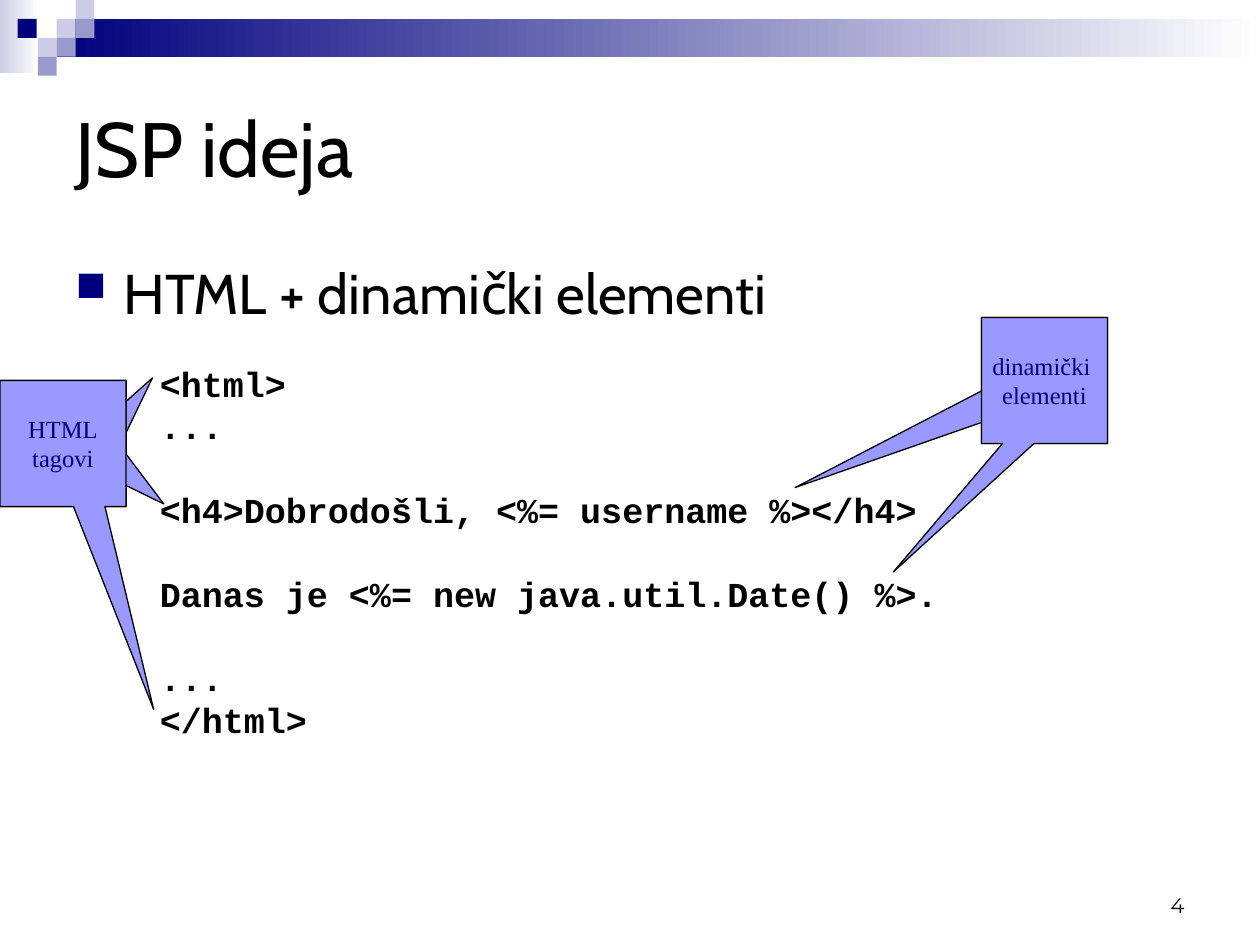
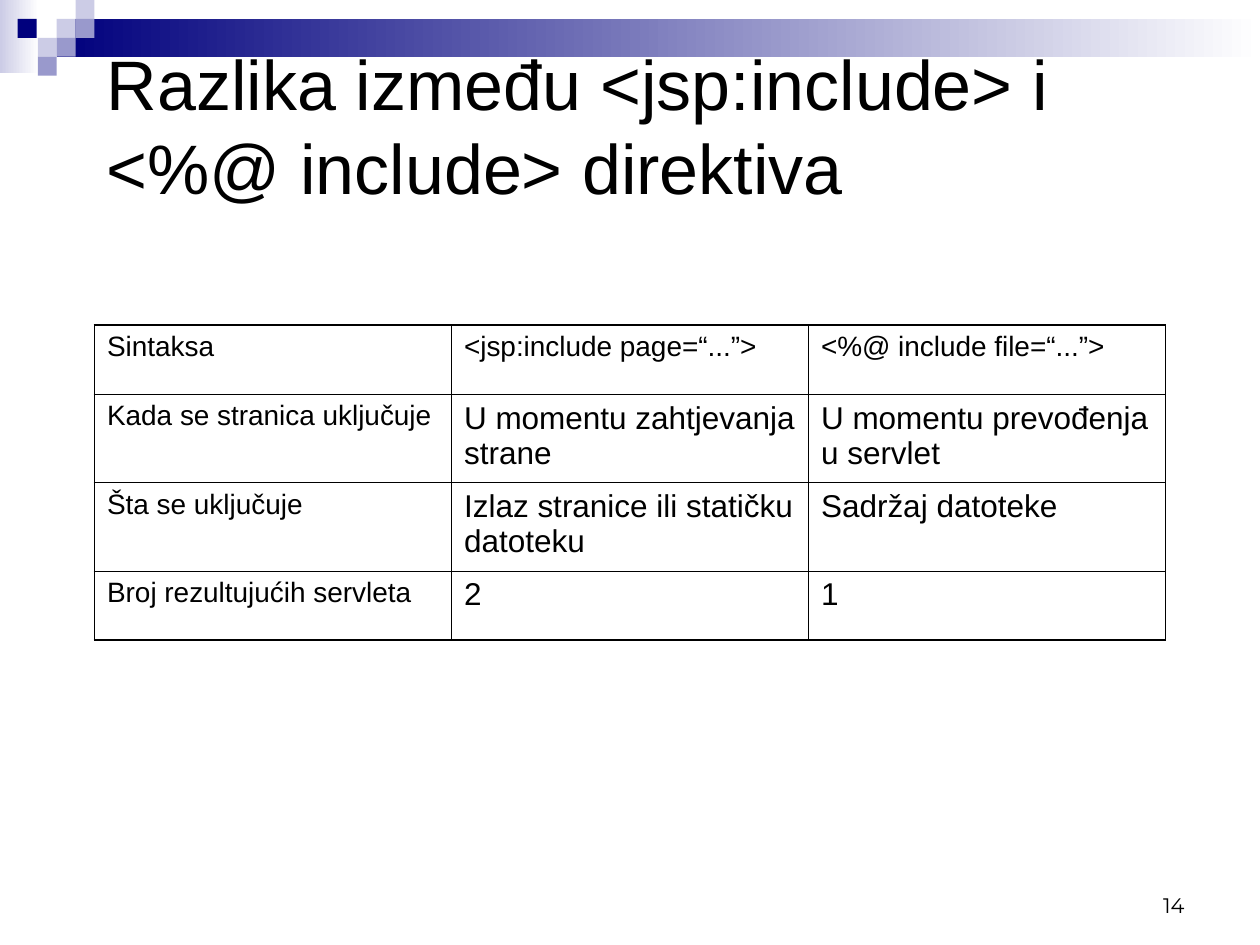
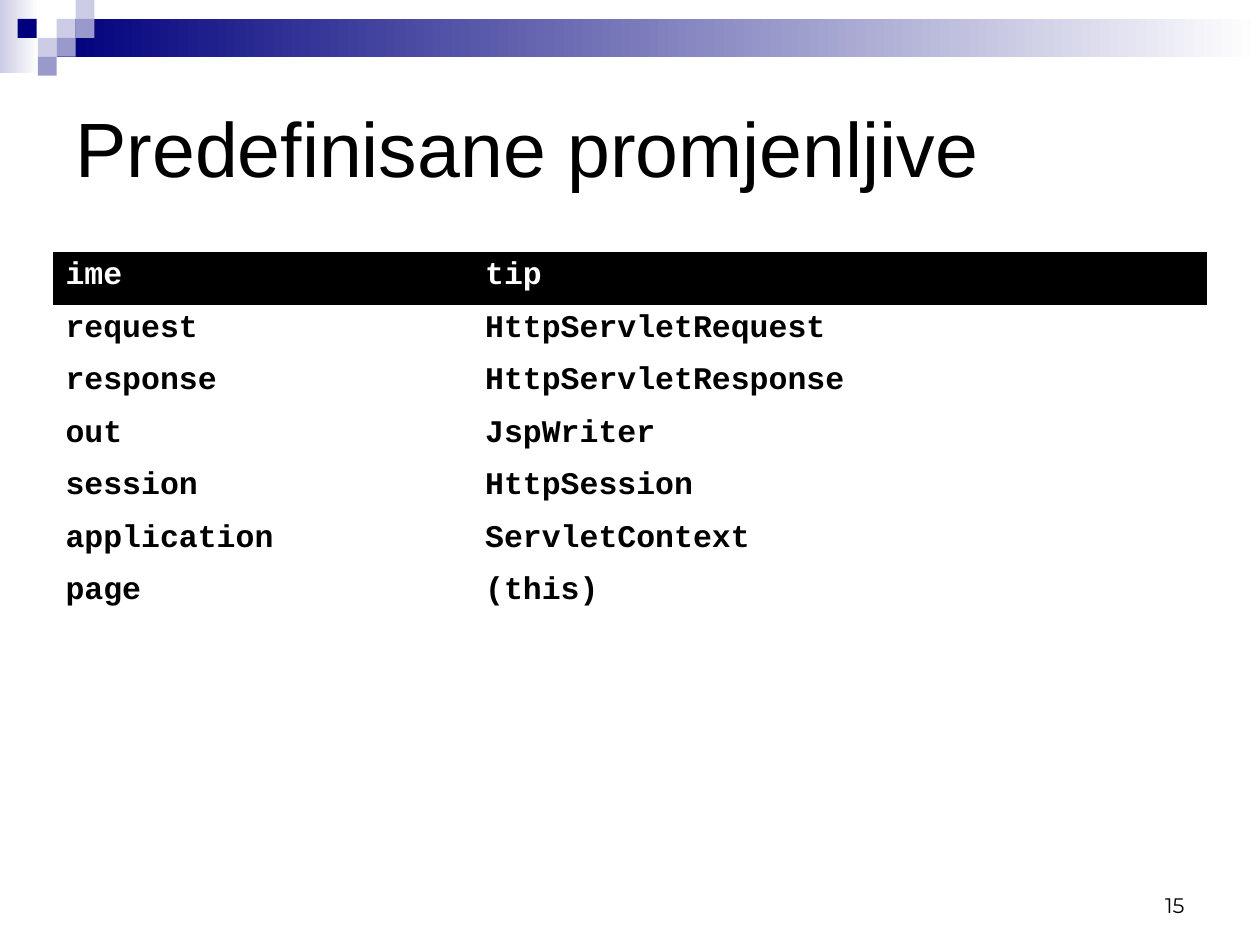
"""Build three JSP lecture slides with a shared banner, title and page number."""
from dataclasses import dataclass

from lxml import etree
from pptx import Presentation
from pptx import util as u
from pptx.dml.color import RGBColor
from pptx.enum import shapes, text
from pptx.oxml.ns import qn


@dataclass(frozen=True)
class Theme:
    navy: str = "00007D"
    lavender: str = "9999CC"
    pale: str = "CCCCE6"
    callout: str = "9999FF"
    black: str = "000000"
    white: str = "FFFFFF"
    sans: str = "Arial"
    heading: str = "Cabin"
    mono: str = "Courier New"
    serif: str = "Times New Roman"
    number: str = "Montserrat"
    title_size: int = 44
    long_title_size: int = 40
    body_size: int = 32
    code_size: int = 20
    cell_size: int = 18
    label_size: int = 16
    callout_size: int = 14
    number_size: int = 12
    code_pitch: int = 24
    outer_line: float = 1.08
    inner_line: float = 0.45


def inches(*lengths):
    return [u.Inches(length) for length in lengths]


def assign(target, values):
    for name, value in values.items():
        setattr(target, name, value)


class Deck:
    """Hold the theme and the current slide, and draw each kind of element."""

    def __init__(self, theme):
        self.theme = theme
        self.file = Presentation()
        assign(self.file, {"slide_width": u.Inches(10), "slide_height": u.Inches(7.5)})
        self.slide = None

    def start(self, number):
        self.slide = self.file.slides.add_slide(self.file.slide_layouts[6])
        self.banner()
        self.text_box((7.17, 6.83, 2.33, 0.5), [str(number)],
                      self.font(self.theme.number, self.theme.number_size),
                      {"vertical_anchor": text.MSO_ANCHOR.BOTTOM},
                      {"alignment": text.PP_ALIGN.RIGHT})

    def font(self, name, size, color=None, bold=False):
        return {"name": name, "size": u.Pt(size), "bold": bold,
                "color": color or self.theme.black}

    def fill_text(self, frame, lines, font, layout=None):
        values = dict(font)
        color = RGBColor.from_string(values.pop("color"))
        for index, line in enumerate(lines):
            paragraph = frame.paragraphs[0] if index == 0 else frame.add_paragraph()
            assign(paragraph, layout or {})
            run = paragraph.add_run()
            run.text = line
            assign(run.font, values)
            run.font.color.rgb = color

    def text_box(self, place, lines, font, frame_format=None, layout=None):
        frame = self.slide.shapes.add_textbox(*inches(*place)).text_frame
        assign(frame, {"word_wrap": True, **(frame_format or {})})
        self.fill_text(frame, lines, font, layout)
        return frame

    def block(self, kind, place, *colors):
        block = self.slide.shapes.add_shape(kind, *inches(*place))
        block.shadow.inherit = False
        block.line.fill.background()
        if len(colors) == 1:
            block.fill.solid()
            block.fill.fore_color.rgb = RGBColor.from_string(colors[0])
        else:
            block.fill.gradient()
            block.fill.gradient_angle = 0
            for stop, color in zip(block.fill.gradient_stops, colors):
                stop.color.rgb = RGBColor.from_string(color)
        return block

    def banner(self):
        t = self.theme
        rectangle = shapes.MSO_SHAPE.RECTANGLE
        self.block(rectangle, (0, 0, 0.31, 0.58), t.pale, t.white)
        self.block(rectangle, (0.45, 0.15, 9.55, 0.3), t.navy, t.white)
        side = 0.15
        for left, top, color in ((0.45, 0.15, t.pale), (0.6, 0, t.pale),
                                 (0.6, 0.15, t.lavender), (0.3, 0.3, t.pale),
                                 (0.14, 0.15, t.navy), (0.45, 0.3, t.lavender),
                                 (0.3, 0.45, t.lavender)):
            self.block(rectangle, (left, top, side, side), color)

    def title(self, words, name, size=None, place=(0.5, 0.5, 9, 1.33)):
        self.text_box(place, [words], self.font(name, size or self.theme.title_size),
                      {"vertical_anchor": text.MSO_ANCHOR.MIDDLE})

    def bullet(self, place, words):
        t = self.theme
        frame = self.text_box(place, [words], self.font(t.heading, t.body_size))
        properties = frame.paragraphs[0]._p.get_or_add_pPr()
        indent = u.Inches(0.38)
        properties.set("marL", str(indent))
        properties.set("indent", str(-indent))
        color = etree.SubElement(properties, qn("a:buClr"))
        etree.SubElement(color, qn("a:srgbClr"), val=t.navy)
        etree.SubElement(properties, qn("a:buSzPct"), val="75000")
        etree.SubElement(properties, qn("a:buChar"), char="■")

    def code(self, place, groups):
        t = self.theme
        pitch = u.Pt(t.code_pitch)
        lines = [line for group in groups for line in group]
        frame = self.text_box(place, lines, self.font(t.mono, t.code_size, bold=True),
                              {"word_wrap": False}, {"line_spacing": pitch})
        first = 0
        for group in groups[:-1]:
            first += len(group)
            frame.paragraphs[first].space_before = pitch

    def callout(self, left, top, tips, lines):
        t = self.theme
        for tip in tips:
            bubble = self.block(shapes.MSO_SHAPE.RECTANGULAR_CALLOUT,
                                (left, top, 1, 1), t.callout)
            bubble.line.color.rgb = RGBColor.from_string(t.black)
            bubble.line.width = u.Pt(0.75)
            for index, offset in enumerate(tip):
                bubble.adjustments[index] = offset
        frame = bubble.text_frame
        assign(frame, {"word_wrap": False, "vertical_anchor": text.MSO_ANCHOR.MIDDLE})
        self.fill_text(frame, lines, self.font(t.serif, t.callout_size, t.navy),
                       {"alignment": text.PP_ALIGN.CENTER})

    def border(self, cell, widths):
        properties = cell._tc.get_or_add_tcPr()
        for index, (side, width) in enumerate(zip("LRTB", widths)):
            edge = etree.Element(qn(f"a:ln{side}"), w=str(u.Pt(width)))
            properties.insert(index, edge)
            if width:
                fill = etree.SubElement(edge, qn("a:solidFill"))
                etree.SubElement(fill, qn("a:srgbClr"), val=self.theme.black)
            else:
                etree.SubElement(edge, qn("a:noFill"))

    def table(self, left, top, widths, heights, rows, style, ruled=False):
        t = self.theme
        grid = self.slide.shapes.add_table(
            len(rows), len(widths), *inches(left, top, sum(widths), sum(heights))).table
        assign(grid, {"first_row": False, "horz_banding": False})
        for column, width in zip(grid.columns, widths):
            column.width = u.Inches(width)
        for row, height in zip(grid.rows, heights):
            row.height = u.Inches(height)
        last_row, last_column = len(rows) - 1, len(widths) - 1
        for r, row in enumerate(rows):
            for c, words in enumerate(row):
                cell = grid.cell(r, c)
                font, fill = style(r, c)
                self.fill_text(cell.text_frame, [words], font)
                if fill:
                    cell.fill.solid()
                    cell.fill.fore_color.rgb = RGBColor.from_string(fill)
                else:
                    cell.fill.background()
                outer = (c == 0, c == last_column, r == 0, r == last_row)
                self.border(cell, [(t.outer_line if edge else t.inner_line) if ruled else 0
                                   for edge in outer])


def idea_slide(deck):
    deck.start(4)
    deck.title("JSP ideja", deck.theme.heading)
    deck.bullet((0.5, 2, 9, 0.69), "HTML + dinamički elementi")
    deck.code((1.17, 2.83, 7.67, 3.08), [
        ["<html>", "..."],
        ["<h4>Dobrodošli, <%= username %></h4>"],
        ["Danas je <%= new java.util.Date() %>."],
        ["...", "</html>"],
    ])
    deck.callout(7.79, 2.52, [(-1.98, 0.85), (-1.2, 1.52)], ["dinamički ", "elementi"])
    deck.callout(0, 3.02, [(0.71, -0.52), (0.8, 0.48), (0.72, 2.11)], ["HTML", "tagovi"])


def include_slide(deck):
    t = deck.theme
    deck.start(14)
    deck.title("Razlika između <jsp:include> i <%@ include> direktiva", t.sans,
               t.long_title_size, (0.75, 0.36, 8.5, 1.25))

    def style(row, column):
        size = t.label_size if row == 0 or column == 0 else t.cell_size
        return deck.font(t.sans, size), None

    deck.table(0.75, 2.58, [8.5 / 3] * 3, [0.55, 0.7, 0.7, 0.55], [
        ("Sintaksa", "<jsp:include page=“...”>", "<%@ include file=“...”>"),
        ("Kada se stranica uključuje", "U momentu zahtjevanja strane",
         "U momentu prevođenja u servlet"),
        ("Šta se uključuje", "Izlaz stranice ili statičku datoteku", "Sadržaj datoteke"),
        ("Broj rezultujućih servleta", "2", "1"),
    ], style, ruled=True)


def variables_slide(deck):
    t = deck.theme
    deck.start(15)
    deck.title("Predefinisane promjenljive", t.sans)
    variables = [
        ("ime", "tip"),
        ("request", "HttpServletRequest"),
        ("response", "HttpServletResponse"),
        ("out", "JspWriter"),
        ("session", "HttpSession"),
        ("application", "ServletContext"),
        ("page", "(this)"),
    ]

    def style(row, column):
        color, fill = (t.white, t.black) if row == 0 else (t.black, None)
        return deck.font(t.mono, t.cell_size, color, bold=True), fill

    deck.table(0.42, 2, [3.33, 5.83], [2.92 / len(variables)] * len(variables),
               variables, style)


def main():
    deck = Deck(Theme())
    for build in (idea_slide, include_slide, variables_slide):
        build(deck)
    deck.file.save("out.pptx")


if __name__ == "__main__":
    main()
